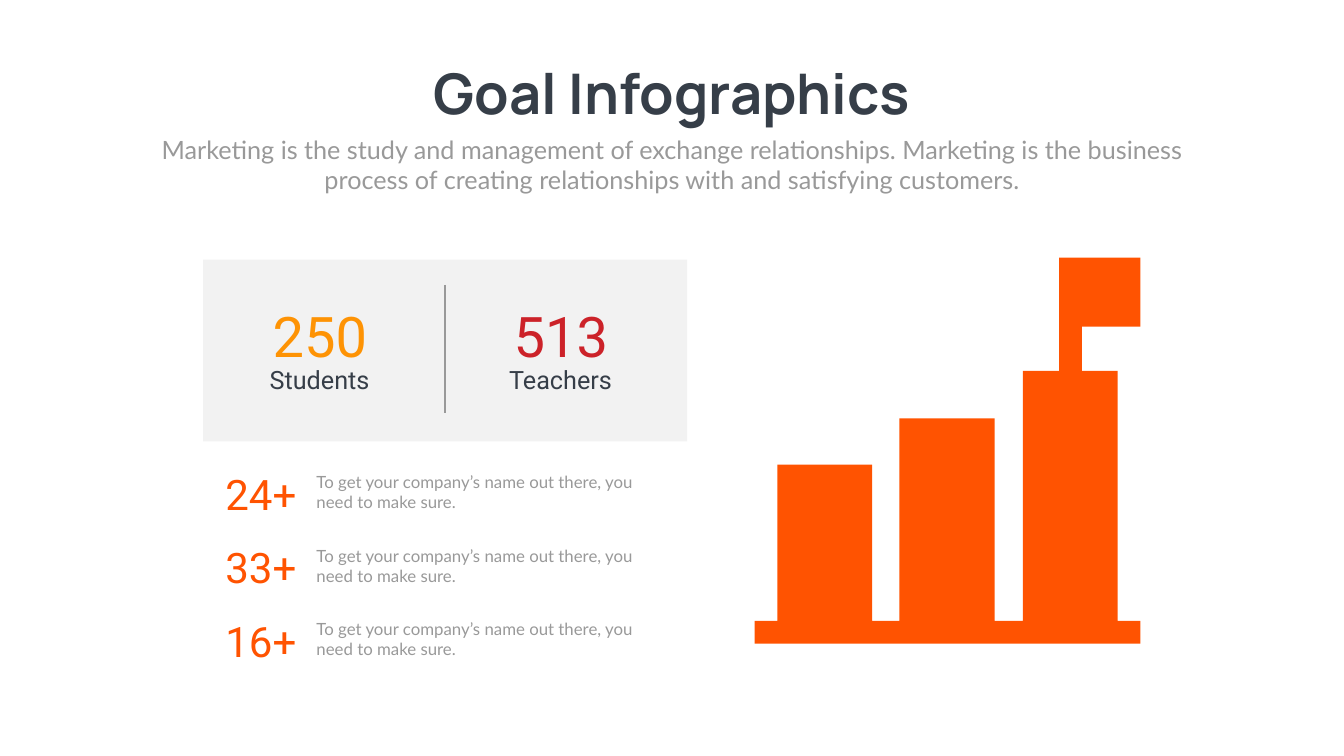
from lxml import etree
from pptx import Presentation
from pptx.dml.color import RGBColor
from pptx.enum.shapes import MSO_CONNECTOR as CONNECTOR, MSO_SHAPE as SHAPE
from pptx.enum.text import MSO_ANCHOR as ANCHOR, MSO_AUTO_SIZE as AUTO_SIZE, PP_ALIGN as ALIGN
from pptx.oxml.ns import qn
from pptx.util import Pt

PX = 9144  # EMU per px, 100 px to the inch
COLORS = {
    "dark": "363E48",
    "gray": "999999",
    "panel": "F2F2F2",
    "orange": "FF5301",
    "amber": "FE9304",
    "red": "CC2229",
}


class SlideBuilder:
    def __init__(self, slide):
        self.slide = slide
        self.shapes = slide.shapes

    def color(self, name):
        return RGBColor.from_string(COLORS[name])

    def set_text(self, shape, text, size, font, color, align=ALIGN.CENTER,
                 bold=False, inset=(10, 5), wrap=True):
        text_frame = shape.text_frame
        text_frame.text = text
        text_frame.auto_size = AUTO_SIZE.NONE
        text_frame.word_wrap = wrap
        text_frame.vertical_anchor = ANCHOR.TOP
        text_frame.margin_left = text_frame.margin_right = inset[0] * PX
        text_frame.margin_top = text_frame.margin_bottom = inset[1] * PX
        paragraph = text_frame.paragraphs[0]
        paragraph.alignment = align
        paragraph.space_before = Pt(0)
        paragraph.line_spacing = 1.0
        run_font = paragraph.runs[0].font
        run_font.name = font
        run_font.size = Pt(size)
        run_font.bold = bold
        run_font.color.rgb = self.color(color)

    def placeholder(self, index, box, *args, **style):
        shape = self.slide.placeholders[index]
        shape.left, shape.top, shape.width, shape.height = (v * PX for v in box)
        self.set_text(shape, *args, **style)

    def text(self, box, *args, **style):
        shape = self.shapes.add_textbox(*(v * PX for v in box))
        self.set_text(shape, *args, **style)

    def paint(self, shape, color):
        shape.shadow.inherit = False
        shape.fill.solid()
        shape.fill.fore_color.rgb = self.color(color)
        shape.line.fill.background()

    def rectangle(self, box, color):
        shape = self.shapes.add_shape(SHAPE.RECTANGLE, *(v * PX for v in box))
        self.paint(shape, color)

    def outline(self, points, color):
        builder = self.shapes.build_freeform(*points[0], scale=PX)
        builder.add_line_segments(points[1:], close=True)
        self.paint(builder.convert_to_shape(), color)

    def line(self, start, end, color, width):
        ends = (v * PX for v in (*start, *end))
        connector = self.shapes.add_connector(CONNECTOR.STRAIGHT, *ends)
        connector.line.color.rgb = self.color(color)
        connector.line.width = Pt(width)
        etree.SubElement(connector._element.spPr, qn("a:effectLst"))


def main():
    presentation = Presentation()
    presentation.slide_width = 2666 * PX
    presentation.slide_height = 1500 * PX
    slide = presentation.slides.add_slide(presentation.slide_layouts[0])
    builder = SlideBuilder(slide)

    # Heading
    builder.placeholder(0, (810, 112, 1047, 145), "Goal Infographics",
                        80, "Manrope", "dark", bold=True, wrap=False)
    builder.placeholder(
        1, (292, 261, 2082, 131),
        "Marketing is the study and management of exchange relationships. "
        "Marketing is the business process of creating relationships with "
        "and satisfying customers.", 36, "Lato", "gray")

    # Rising bars with a flag on the tallest one
    base_top, base_bottom = 1232, 1277
    bars = [(1542, 1730, 922), (1784, 1973, 830)]
    points = [(1497, base_bottom), (1497, base_top)]
    for left, right, top in bars:
        points += [(left, base_top), (left, top), (right, top), (right, base_top)]
    points += [(2029, base_top), (2029, 736), (2101, 736), (2101, 511),
               (2262, 511), (2262, 648), (2146, 648), (2146, 736),
               (2217, 736), (2217, base_top), (2262, base_top), (2262, base_bottom)]
    builder.outline(points, "orange")

    # Panel with two headline figures
    builder.rectangle((403, 515, 960, 361), "panel")
    figures = [("250", "Students", "amber"), ("513", "Teachers", "red")]
    for column, (number, label, color) in enumerate(figures):
        shift = column * 478
        builder.text((520 + shift, 593, 229, 146), number, 80, "Roboto", color,
                     inset=(6, 6))
        builder.text((471 + shift, 718, 326, 71), label, 36, "Roboto", "dark")
    builder.line((883, 565), (883, 819), "gray", 3)

    # Rows of smaller figures
    for row, number in enumerate(["24+", "33+", "16+"]):
        shift = row * 146
        builder.text((618, 931 + shift, 716, 91),
                     "To get your company’s name out there, you need to make sure.",
                     24, "Lato", "gray", align=ALIGN.LEFT)
        builder.text((441, 923 + shift, 229, 112), number, 60, "Roboto", "orange",
                     align=ALIGN.LEFT, inset=(6, 6))

    presentation.save("out.pptx")


if __name__ == "__main__":
    main()
